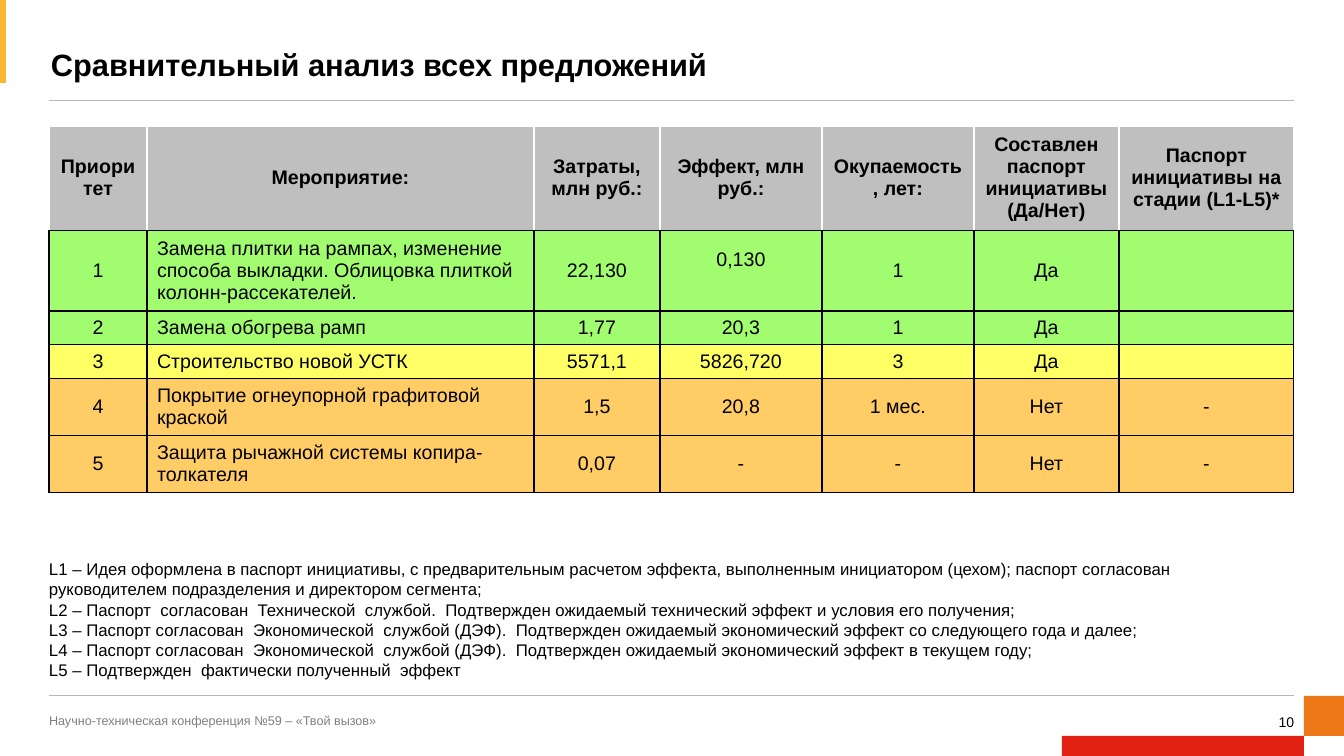
from lxml.etree import SubElement
from pptx import Presentation
from pptx.dml.color import RGBColor
from pptx.enum.shapes import MSO_CONNECTOR as Conn, MSO_SHAPE as Shape
from pptx.enum.text import MSO_ANCHOR as Anchor, PP_ALIGN as Align
from pptx.oxml.ns import qn
from pptx.util import Pt

BLACK = RGBColor(0x00, 0x00, 0x00)
WHITE = RGBColor(0xFF, 0xFF, 0xFF)
GRAY = RGBColor(0x7F, 0x7F, 0x7F)
RULE = RGBColor(0xB7, 0xB7, 0xB6)
HEAD = RGBColor(0xBF, 0xBF, 0xBF)
GREEN = RGBColor(0xA2, 0xFC, 0x70)
YELLOW = RGBColor(0xFF, 0xFF, 0x66)
SAND = RGBColor(0xFF, 0xCC, 0x66)
ORANGE = RGBColor(0xED, 0x78, 0x17)
RED = RGBColor(0xE3, 0x21, 0x12)
AMBER = RGBColor(0xFA, 0xB8, 0x2E)

# Content
TITLE = "Сравнительный анализ всех предложений"
FOOTER = "Научно-техническая конференция №59 – «Твой вызов»"
NUMBER = "10"
COLS = [98, 387, 126, 162, 152, 145, 175]
ROWS = [  # height, fill, cells
    (98, HEAD, ["Приоритет", "Мероприятие:", "Затраты, млн руб.:", "Эффект, млн руб.:",
                "Окупаемость, лет:", "Составлен паспорт инициативы (Да/Нет)",
                "Паспорт инициативы на стадии (L1-L5)*"]),
    (76, GREEN, ["1", "Замена плитки на рампах, изменение способа выкладки. "
                 "Облицовка плиткой колонн-рассекателей.",
                 "22,130", "0,130", "1", "Да", ""]),
    (32, GREEN, ["2", "Замена обогрева рамп", "1,77", "20,3", "1", "Да", ""]),
    (32, YELLOW, ["3", "Строительство новой УСТК", "5571,1", "5826,720", "3", "Да", ""]),
    (54, SAND, ["4", "Покрытие огнеупорной графитовой краской",
                "1,5", "20,8", "1 мес.", "Нет", "-"]),
    (54, SAND, ["5", "Защита рычажной системы копира-толкателя",
                "0,07", "-", "-", "Нет", "-"]),
]
RAISED = (1, 3)  # the cell whose text sits one line higher
LEVELS = [
    "L1 – Идея оформлена в паспорт инициативы, с предварительным расчетом эффекта, "
    "выполненным инициатором (цехом); паспорт согласован руководителем подразделения "
    "и директором сегмента;",
    "L2 – Паспорт  согласован  Технической  службой.  Подтвержден ожидаемый "
    "технический эффект и условия его получения;",
    "L3 – Паспорт согласован  Экономической  службой (ДЭФ).  Подтвержден ожидаемый "
    "экономический эффект со следующего года и далее;",
    "L4 – Паспорт согласован  Экономической  службой (ДЭФ).  Подтвержден ожидаемый "
    "экономический эффект в текущем году;",
    "L5 – Подтвержден  фактически полученный  эффект",
]
BLOCKS = [(1304, 696, 40, 40, ORANGE), (1062, 736, 242, 20, RED), (0, 0, 6, 83, AMBER)]
RULES = [100, 695]
LEFT, RIGHT = 49, 1294


def px(n):
    return round(n * 914400 / 100.8)


def write(par, text, size, color=BLACK, bold=False, align=Align.LEFT):
    par.alignment = align
    run = par.add_run()
    run.text = text
    font = run.font
    font.name, font.size, font.bold = "Arial", Pt(size), bold
    font.color.rgb = color


def add_box(x, y, w, h, lines, size, anchor=Anchor.MIDDLE, inset=(0, 0), **style):
    frame = slide.shapes.add_textbox(px(x), px(y), px(w), px(h)).text_frame
    frame.word_wrap = True
    frame.vertical_anchor = anchor
    frame.margin_left = frame.margin_right = px(inset[0])
    frame.margin_top = frame.margin_bottom = px(inset[1])
    for i, line in enumerate(lines):
        par = frame.add_paragraph() if i else frame.paragraphs[0]
        write(par, line, size, **style)
    return frame


def set_edge(cell, side, color):
    line = SubElement(cell._tc.get_or_add_tcPr(), qn("a:ln" + side), w=str(Pt(1)))
    fill = SubElement(line, qn("a:solidFill"))
    SubElement(fill, qn("a:srgbClr"), val=str(color))


prs = Presentation()
prs.slide_width, prs.slide_height = px(1344), px(756)
slide = prs.slides.add_slide(prs.slide_layouts[6])

# Corner blocks and rules
for x, y, w, h, color in BLOCKS:
    block = slide.shapes.add_shape(Shape.RECTANGLE, px(x), px(y), px(w), px(h))
    block.shadow.inherit = False
    block.fill.solid()
    block.fill.fore_color.rgb = color
    block.line.fill.background()
for y in RULES:
    rule = slide.shapes.add_connector(Conn.STRAIGHT, px(LEFT), px(y), px(RIGHT), px(y))
    rule.line.color.rgb = RULE
    rule.line.width = Pt(0.5)
    SubElement(rule._element.spPr, qn("a:effectLst"))

# Title, footer and page number
title = add_box(51, 51, 1077, 32, [TITLE], 22, Anchor.BOTTOM, bold=True)
title.paragraphs[0].line_spacing = Pt(23)
add_box(LEFT, 708, 1197, 25, [FOOTER], 9, color=GRAY)
add_box(1258, 713, 36, 17, [NUMBER], 10, align=Align.RIGHT)

# Table
high = sum(row[0] for row in ROWS)
table = slide.shapes.add_table(len(ROWS), len(COLS), px(LEFT), px(126),
                               px(sum(COLS)), px(high)).table
table.horz_banding = False
for col, w in zip(table.columns, COLS):
    col.width = px(w)
for r, (h, color, texts) in enumerate(ROWS):
    table.rows[r].height = px(h)
    for c, text in enumerate(texts):
        cell = table.cell(r, c)
        cell.vertical_anchor = Anchor.MIDDLE
        for side in "LRTB":
            set_edge(cell, side, WHITE if r == 0 and side != "B" else BLACK)
        cell.fill.solid()
        cell.fill.fore_color.rgb = color
        par = cell.text_frame.paragraphs[0]
        if text:
            align = Align.LEFT if r and c == 1 else Align.CENTER
            write(par, text, 14, bold=r == 0, align=align)
        else:
            SubElement(par._p, qn("a:endParaRPr"), sz="1400")
        if (r, c) == RAISED:
            cell.margin_bottom = px(27)

# Stage legend
add_box(39, 554, 1245, 132, LEVELS, 12, Anchor.TOP, (10, 5))

prs.save("out.pptx")
